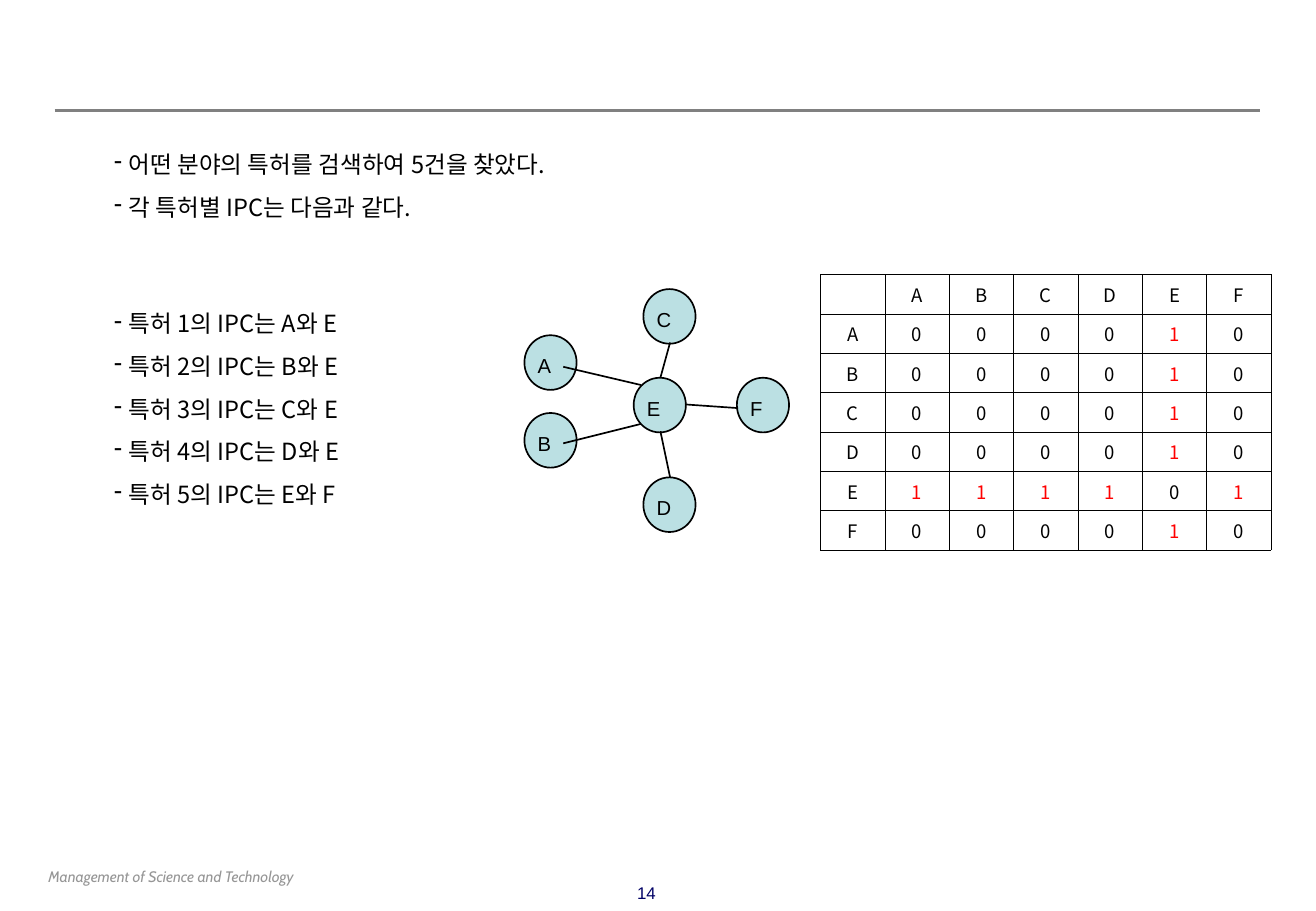
from dataclasses import dataclass

from lxml.etree import SubElement
from pptx import Presentation
from pptx.dml.color import RGBColor
from pptx.enum.shapes import MSO_CONNECTOR, MSO_SHAPE
from pptx.enum.text import MSO_ANCHOR, PP_ALIGN
from pptx.oxml.ns import qn
from pptx.util import Inches, Pt

FOOTER = "Management of Science and Technology"
PAGE_NUMBER = "14"
INTRO = ["어떤 분야의 특허를 검색하여 5건을 찾았다.", "각 특허별 IPC는 다음과 같다."]
PATENTS = [
    "특허 1의 IPC는 A와 E",
    "특허 2의 IPC는 B와 E",
    "특허 3의 IPC는 C와 E",
    "특허 4의 IPC는 D와 E",
    "특허 5의 IPC는 E와 F",
]
CLASSES = "ABCDEF"
PAIRS = ["AE", "BE", "CE", "DE", "EF"]

NODES = {  # left, top of each circle
    "A": (4.32, 2.76),
    "B": (4.32, 3.4),
    "C": (5.3, 2.38),
    "D": (5.3, 3.93),
    "E": (5.22, 3.11),
    "F": (6.07, 3.11),
}
NODE_SIZE = (0.43, 0.45)
LINKS = [  # start x, y and end x, y
    (5.52, 2.82, 5.44, 3.11),
    (4.64, 3.02, 5.28, 3.17),
    (4.64, 3.65, 5.28, 3.49),
    (5.52, 3.93, 5.44, 3.55),
    (5.65, 3.33, 6.08, 3.36),
]


@dataclass(frozen=True)
class Theme:
    ink: str = "000000"
    rule: str = "808080"
    muted: str = "969696"
    page: str = "000066"
    node: str = "BBE0E3"
    linked: str = "FF0000"
    body_font: str = "Noto Sans CJK KR"
    label_font: str = "Arial"
    footer_font: str = "Cabin"
    body_size: float = 14
    node_size: float = 12
    cell_size: float = 11
    page_size: float = 10
    footer_size: float = 9
    pitch: float = 25.25


THEME = Theme()


def rgb(color):
    return RGBColor.from_string(color)


def add_bullet(paragraph):
    """Give the paragraph a hanging dash in the ink colour."""
    properties = paragraph._p.get_or_add_pPr()
    properties.set("marL", str(Inches(0.5)))
    properties.set("indent", str(Inches(-0.12)))
    color = SubElement(properties, qn("a:buClr"))
    SubElement(color, qn("a:srgbClr"), val=THEME.ink)
    SubElement(properties, qn("a:buChar"), char="-")


def write(frame, lines, *, font=THEME.body_font, size=THEME.body_size, color=THEME.ink,
          italic=False, align=PP_ALIGN.LEFT, bullet=False, pitch=None):
    for index, line in enumerate(lines):
        paragraph = frame.paragraphs[0] if index == 0 else frame.add_paragraph()
        if bullet:
            add_bullet(paragraph)
        paragraph.alignment = align
        if pitch:
            paragraph.line_spacing = Pt(pitch)
        run = paragraph.add_run()
        run.text = line
        run.font.name = font
        run.font.size = Pt(size)
        run.font.italic = italic
        run.font.color.rgb = rgb(color)
        SubElement(run._r.get_or_add_rPr(), qn("a:ea"), typeface=font)


def add_text(slide, box, lines, *, wrap=True, side=0.1, **text_format):
    frame = slide.shapes.add_textbox(*map(Inches, box)).text_frame
    frame.word_wrap = wrap
    frame.margin_left = frame.margin_right = Inches(side)
    write(frame, lines, **text_format)


def add_line(slide, ends, color, width):
    line = slide.shapes.add_connector(MSO_CONNECTOR.STRAIGHT, *map(Inches, ends))
    line.line.color.rgb = rgb(color)
    line.line.width = Pt(width)
    SubElement(line._element.spPr, qn("a:effectLst"))


def add_network(slide):
    for name, (left, top) in NODES.items():
        circle = slide.shapes.add_shape(
            MSO_SHAPE.OVAL, *map(Inches, (left, top, *NODE_SIZE)))
        circle.shadow.inherit = False
        circle.fill.solid()
        circle.fill.fore_color.rgb = rgb(THEME.node)
        circle.line.color.rgb = rgb(THEME.ink)
        circle.line.width = Pt(1)
        add_text(slide, (left + 0.01, top + 0.1, 0.31, 0.3), [name], wrap=False,
                 font=THEME.label_font, size=THEME.node_size)
    for ends in LINKS:
        add_line(slide, ends, THEME.ink, 1)


def add_borders(cell, width):
    properties = cell._tc.get_or_add_tcPr()
    for side in ("lnL", "lnR", "lnT", "lnB"):
        border = SubElement(properties, qn(f"a:{side}"), w=str(Pt(width)))
        fill = SubElement(border, qn("a:solidFill"))
        SubElement(fill, qn("a:srgbClr"), val=THEME.ink)


def matrix_rows():
    """Header row, then one row per class with 1 where a patent joins the two."""
    yield ["", *CLASSES]
    for row in CLASSES:
        yield [row, *("1" if "".join(sorted(row + column)) in PAIRS else "0"
                      for column in CLASSES)]


def add_matrix(slide):
    count = len(CLASSES) + 1
    matrix = slide.shapes.add_table(
        count, count, *map(Inches, (6.76, 2.26, 3.71, 2.27))).table
    matrix.first_row = matrix.horz_banding = False
    for row, values in enumerate(matrix_rows()):
        for column, value in enumerate(values):
            cell = matrix.cell(row, column)
            cell.vertical_anchor = MSO_ANCHOR.MIDDLE
            cell.margin_top = cell.margin_bottom = Inches(0.04)
            add_borders(cell, 0.28)
            cell.fill.background()
            if value:
                write(cell.text_frame, [value], size=THEME.cell_size, align=PP_ALIGN.CENTER,
                      color=THEME.linked if value == "1" else THEME.ink)
            else:
                cell.text_frame.paragraphs[0].font.size = Pt(THEME.cell_size)


def main():
    deck = Presentation()
    deck.slide_width, deck.slide_height = Inches(10.84), Inches(7.5)
    slide = deck.slides.add_slide(deck.slide_layouts[6])

    add_line(slide, (0.45, 0.91, 10.38, 0.91), THEME.rule, 2)
    add_text(slide, (0.3, 7.09, 3.94, 0.25), [FOOTER], font=THEME.footer_font,
             size=THEME.footer_size, color=THEME.muted, italic=True)
    add_text(slide, (5.02, 7.22, 0.61, 0.27), [PAGE_NUMBER], font=THEME.label_font,
             size=THEME.page_size, color=THEME.page, align=PP_ALIGN.CENTER)
    for box, lines in (((0.45, 1.07, 9.92, 0.9), INTRO), ((0.45, 2.38, 5, 2.16), PATENTS)):
        add_text(slide, box, lines, side=0.11, bullet=True, pitch=THEME.pitch)
    add_network(slide)
    add_matrix(slide)
    deck.save("out.pptx")


if __name__ == "__main__":
    main()
